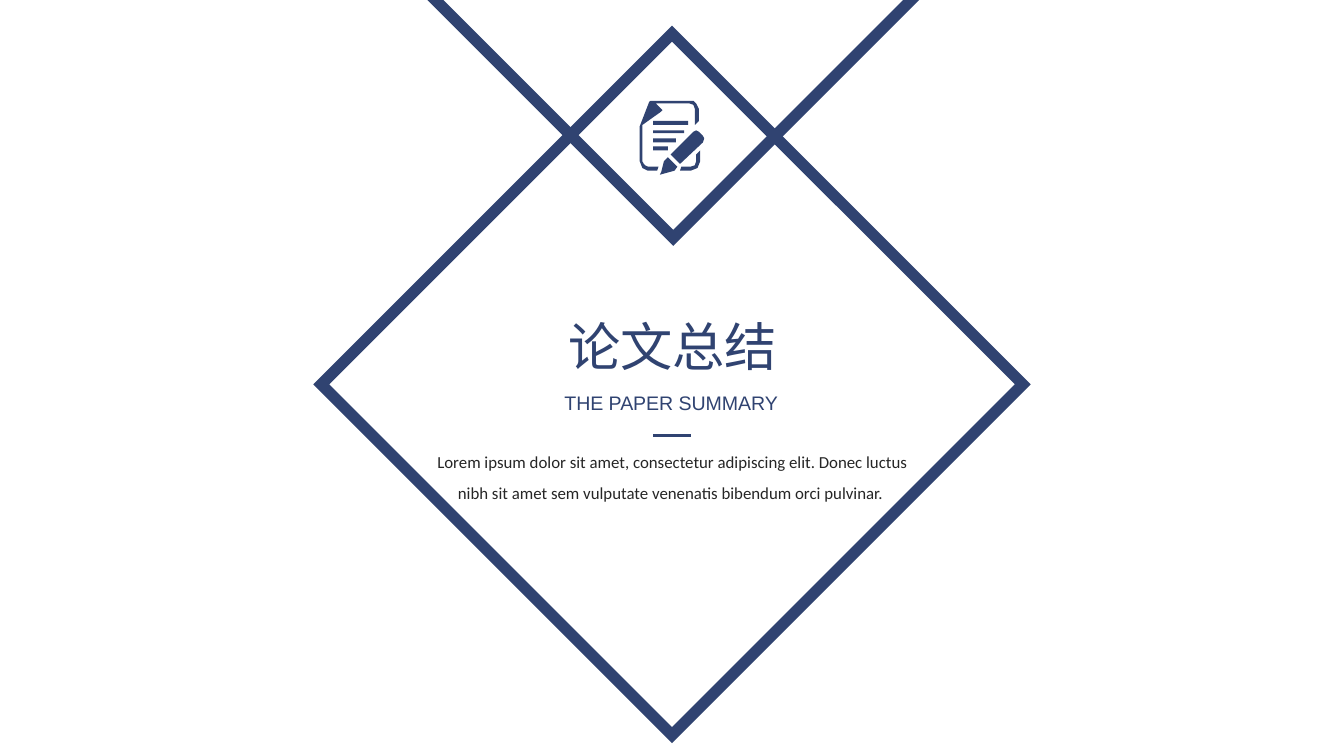
from lxml import etree
from pptx import Presentation
from pptx import util as u
from pptx.dml.color import RGBColor
from pptx.enum import shapes, text
from pptx.oxml.ns import qn

NAVY, INK = "304371", "262626"

PAGE = [
    (479, 122), (478, 120), (478, 93), (492, 83), (493, 82), (492, 81),
    (488, 77), (513, 77), (516, 78), (517, 81), (517, 93), (520, 90),
    (520, 81), (518, 77), (516, 75), (513, 75), (484, 75), (483, 76),
    (476, 94), (476, 120), (478, 125), (482, 127), (489, 127),
    (490, 124), (482, 124), (480, 123)]
PEN = [(499, 115), (516, 98), (518, 97), (520, 98), (523, 101), (524, 103),
       (523, 106), (506, 122)]
TIP = [(497, 117), (494, 120), (492, 128), (491, 130), (502, 127), (504, 124)]
EDGE = [(517, 123), (514, 124), (507, 124), (506, 127), (514, 127),
        (519, 125), (521, 120), (521, 112), (518, 115), (518, 120)]
ROWS = [(90, 93, 512), (97, 99, 509), (103, 106, 503), (109, 112, 497)]
ICON = [PAGE, PEN, TIP, EDGE] + [
    [(486, top), (end, top), (end, low), (486, low)] for top, low, end in ROWS]


def tint(code):
    """Turn a hex string into a colour."""
    return RGBColor.from_string(code)


class Deck:
    """Hold the style and the current slide."""

    def __init__(self, wide, high):
        """Start a deck with one blank slide."""
        self.file = Presentation()
        self.file.slide_width = u.Inches(wide)
        self.file.slide_height = u.Inches(high)
        self.slide = self.file.slides.add_slide(self.file.slide_layouts[6])
        self.items = self.slide.shapes
        self.main = NAVY

    def label(self, words, box, wrap=False, gap=1.0, color=NAVY, **style):
        """Add centred text with the given font values."""
        frame = self.items.add_textbox(*map(u.Inches, box)).text_frame
        frame.word_wrap = wrap
        frame.auto_size = text.MSO_AUTO_SIZE.SHAPE_TO_FIT_TEXT
        para = frame.paragraphs[0]
        para.alignment = text.PP_ALIGN.CENTER
        para.line_spacing = gap
        run = para.add_run()
        run.text = words
        run.font.color.rgb = tint(color)
        for key, value in style.items():
            setattr(run.font, key, value)
        face = etree.SubElement(run.font._element, qn("a:ea"))
        face.set("typeface", style["name"])

    def frame(self, shape, width=6):
        """Give a shape a sharp outline and no fill."""
        shape.shadow.inherit = False
        shape.fill.background()
        shape.line.color.rgb = tint(self.main)
        shape.line.width = u.Pt(width)
        line = shape.element.spPr.find(qn("a:ln"))
        etree.SubElement(line, qn("a:miter")).set("lim", "800000")

    def diamond(self, *box):
        """Add an outlined diamond."""
        kind = shapes.MSO_SHAPE.DIAMOND
        self.frame(self.items.add_shape(kind, *map(u.Inches, box)))

    def outline(self, loops):
        """Build closed loops from points in hundredths of an inch."""
        first, *rest = loops
        pen = self.items.build_freeform(*first[0], scale=u.Inches(0.01))
        pen.add_line_segments(first[1:])
        for loop in rest:
            pen.move_to(*loop[0])
            pen.add_line_segments(loop[1:])
        return pen.convert_to_shape()

    def icon(self, loops):
        """Add a filled icon."""
        shape = self.outline(loops)
        shape.shadow.inherit = False
        shape.fill.solid()
        shape.fill.fore_color.rgb = tint(self.main)
        shape.line.fill.background()

    def rule(self, left, right, top, width=1.5):
        """Add a level line."""
        ends = map(u.Inches, (left, top, right, top))
        line = self.items.add_connector(shapes.MSO_CONNECTOR.STRAIGHT, *ends)
        line.line.color.rgb = tint(self.main)
        line.line.width = u.Pt(width)
        etree.SubElement(line._element.spPr, qn("a:effectLst"))


def main():
    """Build the section slide."""
    deck = Deck(10, 10 * 9 / 16)
    deck.label("论文总结", (4.12, 2.29, 1.77, 0.57),
               name="Noto Sans CJK SC", size=u.Pt(28))
    deck.label("THE PAPER SUMMARY", (4.08, 2.86, 1.83, 0.28),
               name="Arial", size=u.Pt(10.5))
    deck.label("Lorem ipsum dolor sit amet, consectetur adipiscing elit. "
               "Donec luctus nibh sit amet sem vulputate venenatis bibendum "
               "orci pulvinar. ", (3.09, 3.24, 3.82, 0.56), wrap=True, gap=1.5,
               name="Calibri", size=u.Pt(9), color=INK)
    deck.rule(4.86, 5.14, 3.24)
    wedge = [(273, -51), (729, -51), (501, 177), (273, -51)]
    deck.frame(deck.outline([wedge]))
    deck.diamond(2.39, 0.25, 5.22, 5.22)
    deck.icon([loop + loop[:1] for loop in ICON])
    deck.file.save("out.pptx")


if __name__ == "__main__":
    main()
